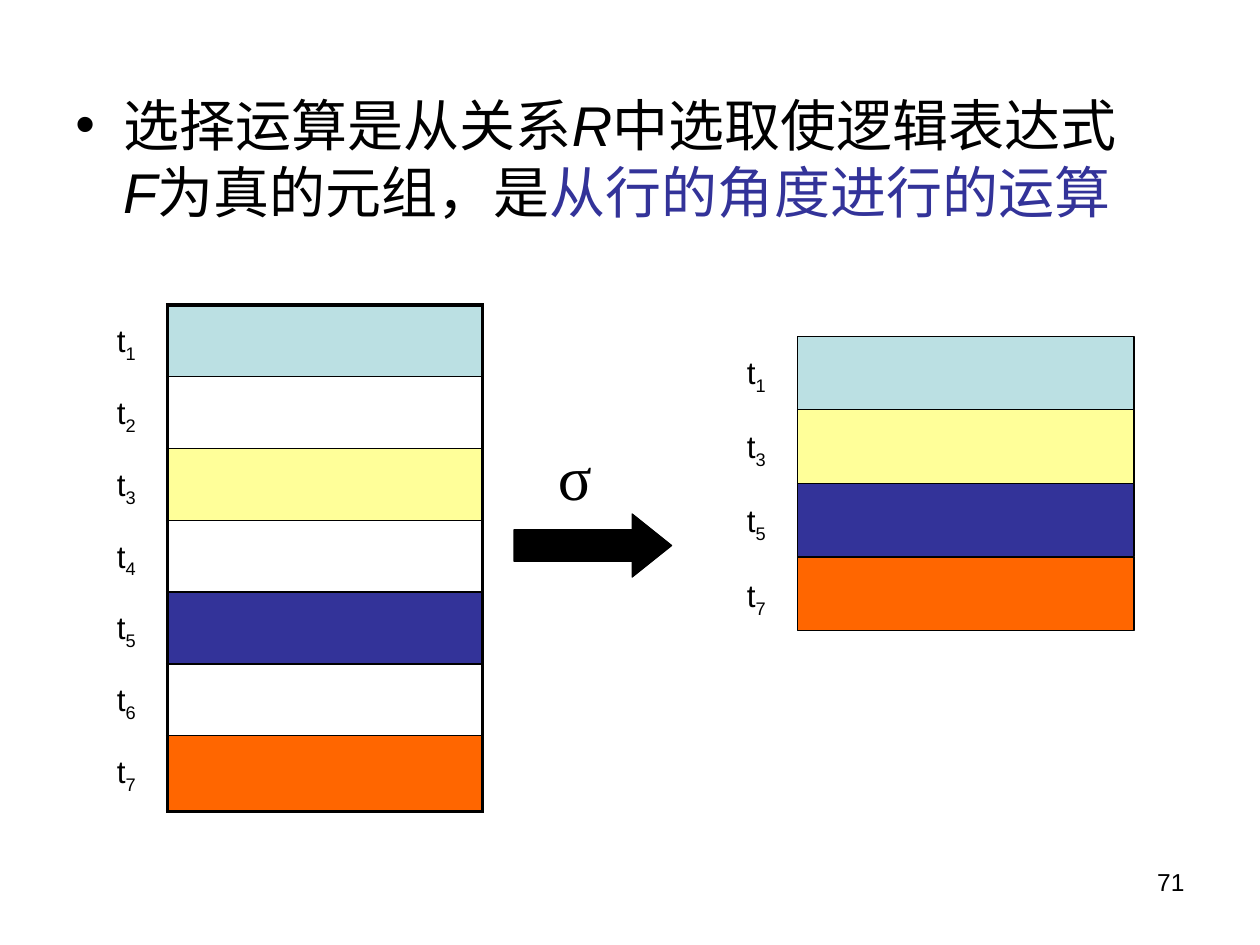
from dataclasses import dataclass

from pptx import Presentation
from pptx import util as u
from pptx.dml.color import RGBColor
from pptx.enum import shapes, text
from pptx.oxml import ns
from lxml import etree


@dataclass(frozen=True)
class Theme:
    font: str = "Arial"
    symbol_font: str = "Times New Roman"
    ink: str = "000000"
    accent: str = "333399"
    body_size: int = 32
    symbol_size: int = 36
    label_size: int = 18
    number_size: int = 14
    thin: float = 0.75
    inner: float = 1
    outer: float = 2.25


THEME = Theme()
TUPLE_FILLS = {1: "BBE0E3", 2: None, 3: "FFFF99", 4: None,
               5: THEME.accent, 6: None, 7: "FF6600"}
SELECTED = [n for n, fill in TUPLE_FILLS.items() if fill]


def rgb(value):
    return RGBColor.from_string(value)


def add_box(s, left, top, width, height):
    box = s.shapes.add_textbox(*map(u.Inches, (left, top, width, height)))
    tf = box.text_frame
    tf.word_wrap = True
    tf.auto_size = text.MSO_AUTO_SIZE.NONE
    return tf.paragraphs[0]


def add_run(p, words, size, color=THEME.ink, font=THEME.font, italic=False):
    r = p.add_run()
    r.text = words
    r.font.size = u.Pt(size)
    r.font.name = font
    r.font.italic = italic
    r.font.color.rgb = rgb(color)
    return r


def add_statement(s):
    p = add_box(s, 0.5, 0.67, 8.67, 1.17)
    pPr = p._p.get_or_add_pPr()
    pPr.set("marL", str(u.Inches(0.38)))
    pPr.set("indent", str(-u.Inches(0.38)))
    etree.SubElement(pPr, ns.qn("a:buFont"), typeface=THEME.font)
    etree.SubElement(pPr, ns.qn("a:buChar"), char="•")
    size = THEME.body_size
    add_run(p, "选择运算是从关系", size)
    add_run(p, "R", size, italic=True)
    add_run(p, "中选取使逻辑表达式", size)
    add_run(p, "F", size, italic=True)
    add_run(p, "为真的元组，是", size)
    add_run(p, "从行的角度进行的运算", size, THEME.accent)


def add_labels(s, numbers, left, top, pitch):
    for i, number in enumerate(numbers):
        p = add_box(s, left, top + i * pitch, 0.42, 0.4)
        add_run(p, "t", THEME.label_size)
        r = add_run(p, str(number), THEME.label_size)
        r._r.get_or_add_rPr().set("baseline", "-25000")


def set_border(cell, side, width):
    tcPr = cell._tc.get_or_add_tcPr()
    ln = etree.SubElement(tcPr, ns.qn(f"a:ln{side}"), w=str(u.Pt(width)))
    fill = etree.SubElement(ln, ns.qn("a:solidFill"))
    etree.SubElement(fill, ns.qn("a:srgbClr"), val=THEME.ink)


def add_relation(s):
    heights = [0.57] * 6 + [0.6]
    frame = s.shapes.add_table(len(heights), 1, u.Inches(1.33), u.Inches(2.42),
                               u.Inches(2.5), u.Inches(sum(heights)))
    table = frame.table
    table.first_row = table.horz_banding = False
    last = len(heights) - 1
    for i, (height, color) in enumerate(zip(heights, TUPLE_FILLS.values())):
        table.rows[i].height = u.Inches(height)
        cell = table.cell(i, 0)
        set_border(cell, "L", THEME.outer)
        set_border(cell, "R", THEME.outer)
        set_border(cell, "T", THEME.outer if i == 0 else THEME.inner)
        set_border(cell, "B", THEME.outer if i == last else THEME.inner)
        if color:
            cell.fill.solid()
            cell.fill.fore_color.rgb = rgb(color)
        else:
            cell.fill.background()


def add_block(s, kind, left, top, width, height, color):
    sp = s.shapes.add_shape(kind, *map(u.Inches, (left, top, width, height)))
    sp.shadow.inherit = False
    sp.fill.solid()
    sp.fill.fore_color.rgb = rgb(color)
    sp.line.color.rgb = rgb(THEME.ink)
    sp.line.width = u.Pt(THEME.thin)
    return sp


def add_result(s):
    pitch = 7 / 12
    for i, number in enumerate(SELECTED):
        add_block(s, shapes.MSO_SHAPE.RECTANGLE, 6.33, 2.67 + i * pitch,
                  2.67, pitch, TUPLE_FILLS[number])


def add_selection(s):
    p = add_box(s, 4.33, 3.42, 0.58, 0.7)
    add_run(p, "σ", THEME.symbol_size, font=THEME.symbol_font)
    arrow = add_block(s, shapes.MSO_SHAPE.RIGHT_ARROW,
                      4.08, 4.08, 1.25, 0.5, THEME.ink)
    arrow.adjustments[0] = 0.5
    arrow.adjustments[1] = 0.625


def add_page_number(s):
    p = add_box(s, 7.17, 6.83, 2.33, 0.52)
    p.alignment = text.PP_ALIGN.RIGHT
    add_run(p, "71", THEME.number_size)


def main():
    prs = Presentation()
    prs.slide_width, prs.slide_height = u.Inches(10), u.Inches(7.5)
    s = prs.slides.add_slide(prs.slide_layouts[6])
    add_page_number(s)
    add_statement(s)
    add_relation(s)
    add_result(s)
    add_labels(s, TUPLE_FILLS, 0.83, 2.5, 0.57)
    add_labels(s, SELECTED, 5.83, 2.75, 0.59)
    add_selection(s)
    prs.save("out.pptx")


if __name__ == "__main__":
    main()
